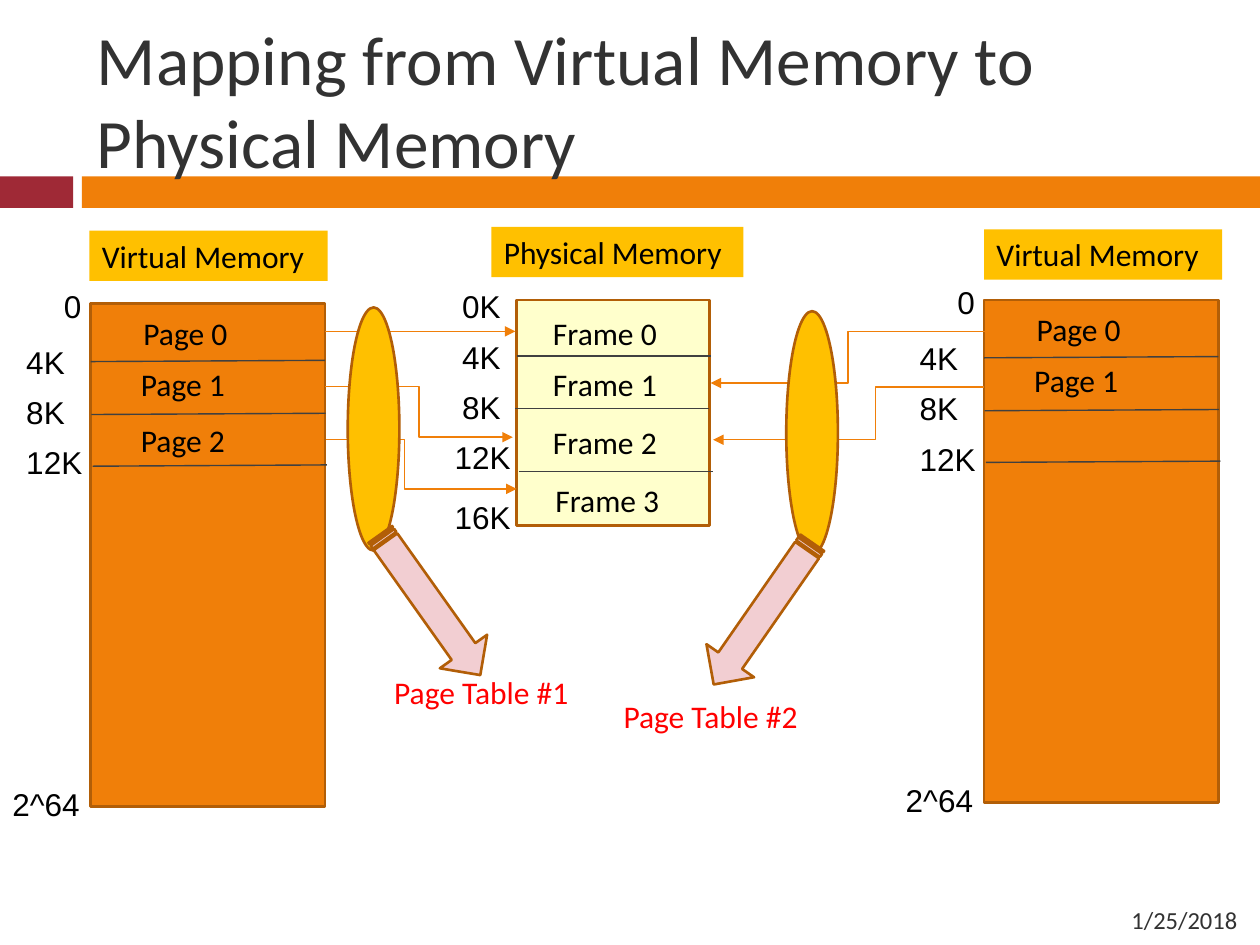
import pptx
import pptx.dml.color
import pptx.enum.shapes
import pptx.enum.text
import pptx.oxml.ns
import pptx.util
import lxml.etree

COLORS = {
    "orange": "F07F09", "crimson": "9F2936", "brown": "B25E07",
    "amber": "FFC000", "cream": "FFFFCC", "pink": "F2CED2",
    "divider": "404040", "title": "323232", "black": "000000", "red": "FF0000",
}
COLUMNS, ROWS = 100, 75
SHAPE = pptx.enum.shapes.MSO_SHAPE
CONNECTOR = pptx.enum.shapes.MSO_CONNECTOR
ALIGN = pptx.enum.text.PP_ALIGN
ANCHOR = pptx.enum.text.MSO_ANCHOR
AUTO_SIZE = pptx.enum.text.MSO_AUTO_SIZE


def rgb(color):
    return pptx.dml.color.RGBColor.from_string(COLORS[color])


def write_text(frame, text, size=18, font="Calibri", color="black",
               align=ALIGN.LEFT, anchor=ANCHOR.TOP, wrap=False):
    frame.word_wrap = wrap
    frame.auto_size = AUTO_SIZE.NONE if wrap else AUTO_SIZE.SHAPE_TO_FIT_TEXT
    frame.vertical_anchor = anchor
    paragraph = frame.paragraphs[0]
    paragraph.alignment = align
    run = paragraph.add_run()
    run.text = text
    run.font.size = pptx.util.Pt(size)
    run.font.name = font
    run.font.color.rgb = rgb(color)


class MemorySlide:
    """Style and current slide; lengths are columns and rows of the grid."""

    outline_width, wire_width = 1.5, 0.79

    def __init__(self, deck):
        self.cell_width = deck.slide_width / COLUMNS
        self.cell_height = deck.slide_height / ROWS
        self.slide = deck.slides.add_slide(deck.slide_layouts[6])

    def place(self, *lengths):
        cells = (self.cell_width, self.cell_height)
        return [round(n * cells[i % 2]) for i, n in enumerate(lengths)]

    def block(self, x, y, width, height, fill, outline=None, kind=SHAPE.RECTANGLE, turn=0):
        shape = self.slide.shapes.add_shape(kind, *self.place(x, y, width, height))
        shape.shadow.inherit = False
        shape.rotation = turn
        shape.fill.solid()
        shape.fill.fore_color.rgb = rgb(fill)
        if outline:
            shape.line.color.rgb = rgb(outline)
            shape.line.width = pptx.util.Pt(self.outline_width)
        else:
            shape.line.fill.background()

    def label(self, text, x, y, width, height=4, fill=None, **text_format):
        box = self.slide.shapes.add_textbox(*self.place(x, y, width, height))
        if fill:
            box.fill.solid()
            box.fill.fore_color.rgb = rgb(fill)
        write_text(box.text_frame, text, **text_format)

    def wire(self, start, end, color, kind=CONNECTOR.STRAIGHT, arrow=False, bend=0.5):
        wire = self.slide.shapes.add_connector(kind, *self.place(*start, *end))
        wire.line.color.rgb = rgb(color)
        wire.line.width = pptx.util.Pt(self.wire_width)
        properties = wire._element.spPr
        qn = pptx.oxml.ns.qn
        lxml.etree.SubElement(properties, qn("a:effectLst"))
        if arrow:
            lxml.etree.SubElement(properties.find(qn("a:ln")), qn("a:tailEnd"), type="triangle")
        if bend != 0.5:
            geometry = properties.find(qn("a:prstGeom"))
            guides = geometry.find(qn("a:avLst"))
            if guides is None:
                guides = lxml.etree.SubElement(geometry, qn("a:avLst"))
            lxml.etree.SubElement(guides, qn("a:gd"), name="adj1",
                                  fmla=f"val {round(bend * 100000)}")

    def virtual_memory(self, x, y, pages, header_at):
        self.block(x, y, 18.6, 39.9, "orange", "brown")
        for dx, dy in ((0, 4.6), (0.05, 8.8), (0.15, 12.9)):
            self.wire((x + dx, y + dy), (x + dx + 18.6, y + dy - 0.1), "divider")
        addresses = [("0", -3.1, -1.8, 3.4), ("4K", -6.1, 2.6, 5.1), ("8K", -6.1, 6.6, 5.1),
                     ("12K", -6.1, 10.6, 6.5), ("2^64", -7.2, 37.7, 7.4)]
        for address, dx, dy, width in addresses:
            self.label(address, x + dx, y + dy, width, font="Arial")
        for page, (dx, dy) in zip(range(pages), ((3.2, 0.35), (3, 4.4), (3, 8.8))):
            self.label(f"Page {page}", x + dx, y + dy, 9.4)
        self.label("Virtual Memory", *header_at, 18.9, fill="amber")

    def physical_memory(self, x, y):
        self.block(x, y, 15.3, 17.9, "cream", "brown")
        for dx, dy in ((0, 4.45), (-0.1, 8.6), (0.2, 13.6)):
            self.wire((x + dx, y + dy), (x + dx + 15.4, y + dy), "divider")
        addresses = [("0K", -5.3, -1.5, 5.1), ("4K", -5.3, 2.5, 5.1), ("8K", -5.3, 6.5, 5.1),
                     ("12K", -5.9, 10.5, 6.5), ("16K", -5.9, 15.2, 6.5)]
        for address, dx, dy, width in addresses:
            self.label(address, x + dx, y + dy, width, font="Arial")
        for frame, (dx, dy) in enumerate(((1.9, 0.6), (1.9, 4.7), (1.9, 9.3), (2.1, 13.9))):
            self.label(f"Frame {frame}", x + dx, y + dy, 10.8)
        self.label("Physical Memory", 39, 18, 20, fill="amber")

    def page_table(self, name, ellipse_at, arrow_at, turn, name_at):
        self.block(*ellipse_at, 4.1, 19.3, "amber", "brown", SHAPE.OVAL)
        self.block(*arrow_at, 13.7, 4.6, "pink", "brown", SHAPE.STRIPED_RIGHT_ARROW, turn)
        self.label(name, *name_at, 17.2, color="red")


deck = pptx.Presentation()
deck.slide_width = pptx.util.Inches(10)
deck.slide_height = pptx.util.Inches(7.5)
page = MemorySlide(deck)

# Title band, title and date
page.block(0, 14, 5.8, 2.5, "crimson")
page.block(6.5, 14, 93.5, 2.5, "orange")
page.label("Mapping from Virtual Memory to Physical Memory", 6.7, 2.5, 89.2, 10.8,
           size=39.6, color="title", anchor=ANCHOR.MIDDLE, wrap=True)
page.label("1/25/2018", 70, 71, 29.2, size=14, color="title",
           align=ALIGN.RIGHT, anchor=ANCHOR.MIDDLE, wrap=True)

# Memories
page.virtual_memory(7.2, 24.1, 3, (7.1, 18.3))
page.virtual_memory(78.1, 23.8, 2, (78.1, 18.2))
page.physical_memory(41, 23.8)

# Mapping of pages to frames
page.wire((25.8, 26.3), (40.9, 26.3), "orange", arrow=True)
mappings = [
    ((25.8, 30.7), (40.7, 34.7), 0.5),
    ((25.9, 34.9), (41, 38.8), 0.41),
    ((78.2, 26.3), (56.4, 30.4), 0.5),
    ((78.1, 30.7), (56.6, 34.9), 0.4),
]
for page_edge, frame_edge, bend in mappings:
    page.wire(page_edge, frame_edge, "orange", CONNECTOR.ELBOW, arrow=True, bend=bend)

# Page tables
page.page_table("Page Table #1", (27.6, 24.4), (27.3, 45.7), 54.6, (30.3, 52.9))
page.page_table("Page Table #2", (62.4, 24.7), (53.7, 46.4), 124.8, (48.5, 54.8))

deck.save("out.pptx")
